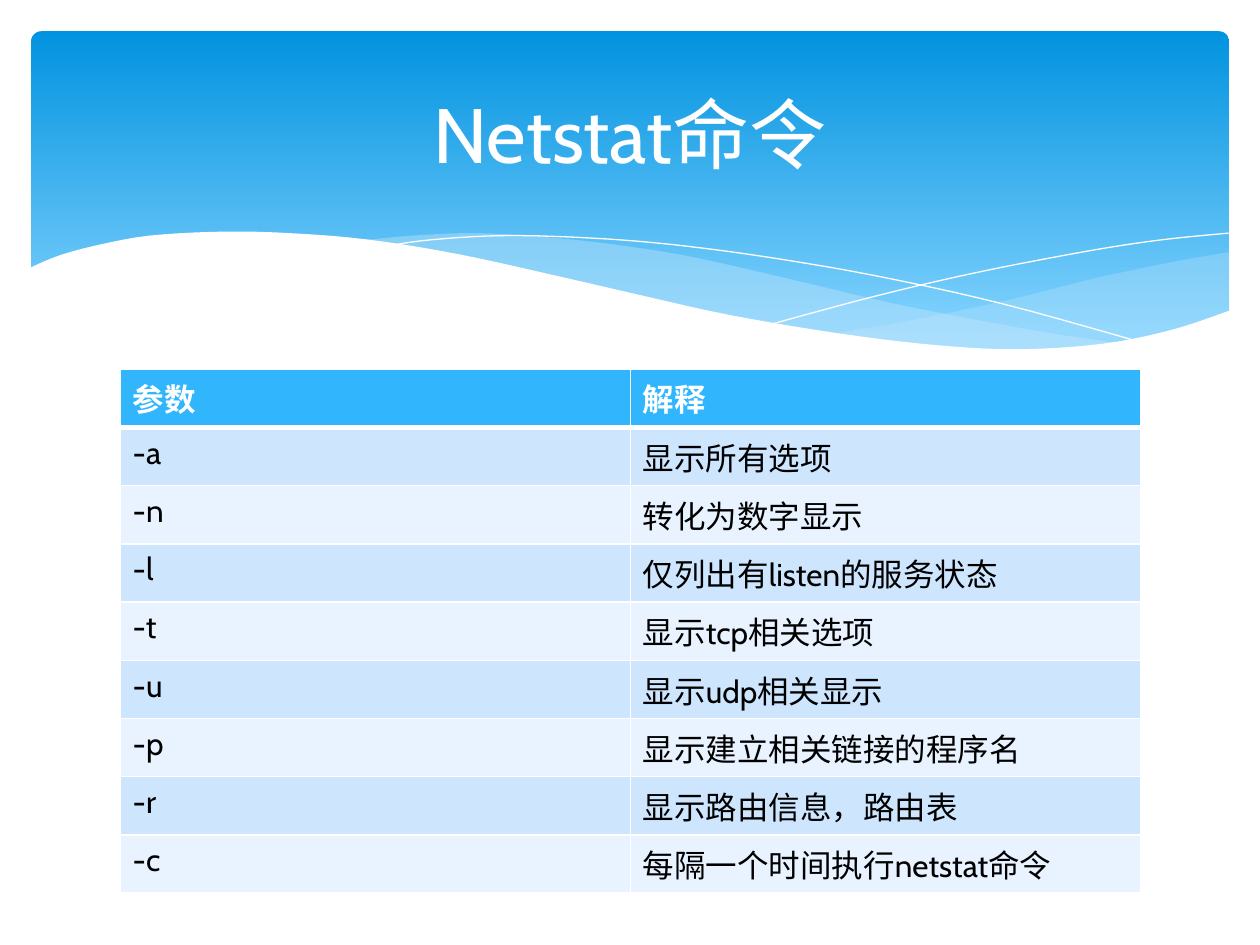
from lxml.etree import SubElement as Sub
from pptx import Presentation
from pptx.dml.color import RGBColor as Rgb
from pptx.enum.shapes import MSO_SHAPE as Kind
from pptx.enum.text import MSO_ANCHOR as Anchor, PP_ALIGN as Align
from pptx.oxml.ns import qn
from pptx.util import Cm, Pt

HUES = {
    "white": "FFFFFF", "black": "000000", "deep": "0293E0", "sky": "83D3FE",
    "mist": "C6E7FC", "head": "31B6FD", "odd": "CEE5FE", "even": "E8F3FF",
}

RIGHT = [
    [(24.79, 5.08), (23.75, 5.26), (22.63, 5.49), (21.87, 5.66),
     (20.45, 6.02), (18.52, 6.43), (16.79, 6.73)],
    [(16.79, 6.73), (17.91, 6.88), (19.23, 7.01), (20.4, 7.06),
     (21.44, 7.04), (22.58, 6.91), (23.57, 6.68), (24.79, 6.27)],
]
LEFT = [
    [(7.26, 4.85), (8.33, 4.75), (9.65, 4.7), (11.23, 4.8), (12.75, 4.98),
     (14.1, 5.21), (15.98, 5.64), (17.93, 6.1), (19.69, 6.45),
     (21.26, 6.73), (22.68, 6.93)],
    [(22.68, 6.93), (21.54, 7.04), (20.22, 7.06), (18.69, 6.99),
     (16.89, 6.76), (14.83, 6.4), (12.47, 5.89), (10.85, 5.49),
     (9.19, 5.16), (7.26, 4.85)],
]
FALL = [(7.85, 4.95), (8.74, 4.83), (10.19, 4.75), (11.91, 4.8),
        (13.54, 4.93), (15.44, 5.18), (17.65, 5.56), (20.19, 6.12),
        (23.04, 6.91)]
RISE = [(15.57, 6.53), (17.65, 5.97), (19.71, 5.49), (22, 5.05),
        (23.47, 4.83), (24.77, 4.7)]
FRONT = [
    [(24.82, 6.25), (23.62, 6.65), (22.23, 6.93), (20.55, 7.04),
     (18.9, 6.96), (16.97, 6.73), (14.71, 6.35), (12.78, 5.92),
     (11.35, 5.59), (9.27, 5.13), (7.42, 4.83), (5.84, 4.7), (4.5, 4.67),
     (3.02, 4.75), (1.93, 4.95), (1.17, 5.16), (0.58, 5.41)],
    [(0.58, 8.36), (24.82, 8.36)],
]

ROWS = [
    ("参数", "解释"),
    ("-a", "显示所有选项"),
    ("-n", "转化为数字显示"),
    ("-l", "仅列出有listen的服务状态"),
    ("-t", "显示tcp相关选项"),
    ("-u", "显示udp相关显示"),
    ("-p", "显示建立相关链接的程序名"),
    ("-r", "显示路由信息，路由表"),
    ("-c", "每隔一个时间执行netstat命令"),
]


def smooth(knots, steps=5):
    """Return points on a Catmull-Rom curve through the knots."""
    pad = [knots[0], *knots, knots[-1]]
    out = [knots[0]]
    for a, b, c, d in zip(pad, pad[1:], pad[2:], pad[3:]):
        for step in range(1, steps + 1):
            t = step / steps
            out.append(tuple(
                q + t * (r - p) / 2 + t**2 * (p - 2.5 * q + 2 * r - s / 2)
                + t**3 * (3 * q - p - 3 * r + s) / 2
                for p, q, r, s in zip(a, b, c, d)))
    return out


class Deck:
    """Hold the style and the current slide."""

    def __init__(self, font):
        self.font = font
        self.show = Presentation()
        self.show.slide_width, self.show.slide_height = Cm(25.4), Cm(19.05)
        self.slide = self.show.slides.add_slide(self.show.slide_layouts[6])

    def hue(self, name):
        return Rgb.from_string(HUES[name])

    def paint(self, fill, name):
        fill.solid()
        fill.fore_color.rgb = self.hue(name)

    def label(self, frame, text, size, color, bold=False):
        par = frame.paragraphs[0]
        par.text = text
        font = par.font
        font.name, font.size, font.bold = self.font, Pt(size), bold
        font.color.rgb = self.hue(color)
        return par

    def banner(self, x, y, w, h, top, base):
        box = self.slide.shapes.add_shape(
            Kind.ROUNDED_RECTANGLE, Cm(x), Cm(y), Cm(w), Cm(h))
        box.adjustments[0] = 0.03
        box.shadow.inherit = False
        box.line.fill.background()
        box.fill.gradient()
        box.fill.gradient_angle = 270
        for stop, name, pos in zip(box.fill.gradient_stops, (top, base), (0, 0.9)):
            stop.color.rgb = self.hue(name)
            stop.position = pos

    def trace(self, runs, close):
        pts = [(Cm(x), Cm(y)) for run in runs for x, y in smooth(run)]
        pen = self.slide.shapes.build_freeform(*pts[0])
        pen.add_line_segments(pts[1:], close=close)
        form = pen.convert_to_shape()
        form.shadow.inherit = False
        return form

    def wave(self, runs, color, alpha=100):
        form = self.trace(runs, True)
        form.line.fill.background()
        self.paint(form.fill, color)
        if alpha < 100:
            tone = form.element.spPr.find(qn("a:solidFill"))[0]
            Sub(tone, qn("a:alpha"), val=str(alpha * 1000))

    def curve(self, knots, color):
        form = self.trace([knots], False)
        form.fill.background()
        form.line.color.rgb = self.hue(color)
        form.line.width = Pt(0)

    def edge(self, cell, side, width, color):
        line = Sub(cell._tc.get_or_add_tcPr(), qn("a:ln" + side), w=str(Pt(width)))
        Sub(Sub(line, qn("a:solidFill")), qn("a:srgbClr"), val=HUES[color])

    def table(self, rows, x, y, w, h):
        grid = self.slide.shapes.add_table(
            len(rows), len(rows[0]), Cm(x), Cm(y), Cm(w), Cm(h)).table
        grid.first_row = grid.horz_banding = False
        for i, row in enumerate(rows):
            fill = "head" if i == 0 else "odd" if i % 2 else "even"
            for j, text in enumerate(row):
                cell = grid.cell(i, j)
                for side in "LRTB":
                    thick = (i, side) in ((0, "B"), (1, "T"))
                    self.edge(cell, side, 3 if thick else 1, "white")
                self.paint(cell.fill, fill)
                self.label(cell.text_frame, text, 18,
                           "black" if i else "white", i == 0)

    def title(self, text, x, y, w, h):
        frame = self.slide.shapes.add_textbox(Cm(x), Cm(y), Cm(w), Cm(h)).text_frame
        frame.word_wrap = True
        frame.vertical_anchor = Anchor.MIDDLE
        self.label(frame, text, 44, "white").alignment = Align.CENTER


def main():
    deck = Deck("Cabin")
    deck.banner(0.63, 0.63, 24.15, 6.86, "deep", "sky")
    deck.wave(RIGHT, "mist", 29)
    deck.wave(LEFT, "mist", 40)
    deck.curve(FALL, "white")
    deck.curve(RISE, "white")
    deck.wave(FRONT, "white")
    deck.table(ROWS, 2.42, 7.44, 20.57, 9.27)
    deck.title("Netstat命令", 1.27, 0.94, 22.86, 3.48)
    deck.show.save("out.pptx")


if __name__ == "__main__":
    main()
